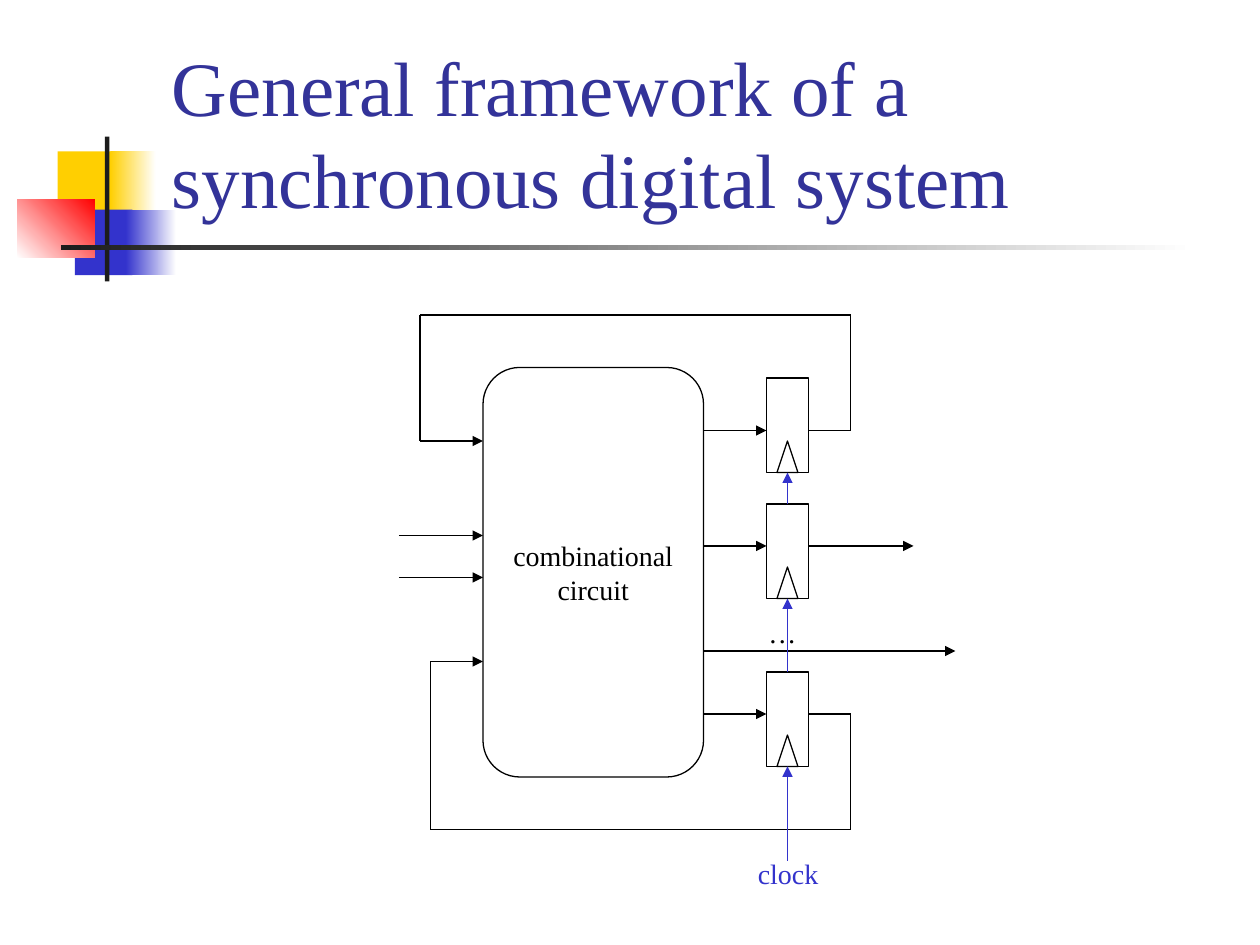
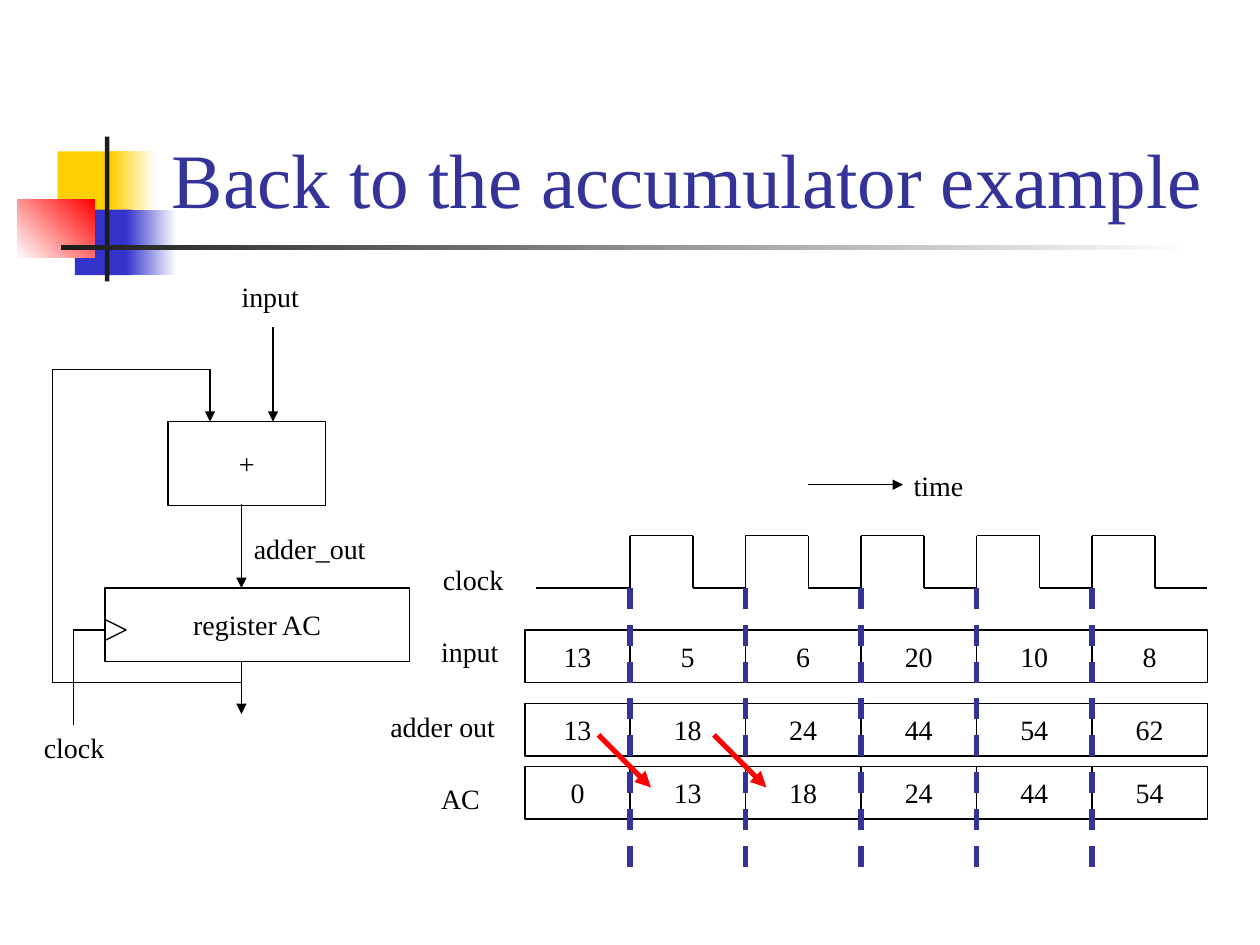
import itertools

import lxml.etree
import pptx
import pptx.dml.color
import pptx.enum.dml
import pptx.enum.shapes
import pptx.enum.text
import pptx.oxml.ns
import pptx.util

Pt = pptx.util.Pt
SHAPE = pptx.enum.shapes.MSO_SHAPE
ANCHOR = pptx.enum.text.MSO_ANCHOR
ALIGN = pptx.enum.text.PP_ALIGN
AUTO_SIZE = pptx.enum.text.MSO_AUTO_SIZE
DASH = pptx.enum.dml.MSO_LINE.DASH
qn = pptx.oxml.ns.qn

FONT = "Times New Roman"
COLORS = {
    "black": "000000",
    "white": "FFFFFF",
    "charcoal": "1C1C1C",
    "yellow": "FFCF01",
    "blue": "3333CC",
    "navy": "333399",
    "red": "FF0000",
}
LABEL_HEIGHT = 26.6

DECORATIONS = [
    (33, 86.5, 35, 37.5, "yellow", None, 0),
    (63, 86.5, 26, 37.5, "yellow", "white", 0),
    (42.75, 119.75, 33, 37.5, "blue", None, 0),
    (72, 119.75, 28.75, 37.5, "blue", "white", 0),
    (9.75, 113.75, 44.5, 33.5, "white", "red", 45),
    (60, 78, 2.5, 82.75, "charcoal", None, 0),
    (35, 140, 648, 2.75, "charcoal", "white", 0),
]


def rgb(name):
    return pptx.dml.color.RGBColor.from_string(COLORS[name])


def style_text(tf, text, size=16, color="black", align=ALIGN.LEFT):
    tf.text = text
    for p in tf.paragraphs:
        p.alignment = align
        p.font.name = FONT
        p.font.size = Pt(size)
        p.font.color.rgb = rgb(color)


def outline(s, kind, x, y, w, h, text=""):
    sp = s.shapes.add_shape(kind, Pt(x), Pt(y), Pt(w), Pt(h))
    sp.shadow.inherit = False
    sp.fill.background()
    sp.line.color.rgb = rgb("black")
    sp.line.width = Pt(0.75)
    if text:
        tf = sp.text_frame
        style_text(tf, text, align=ALIGN.CENTER)
        tf.word_wrap = False
        tf.vertical_anchor = ANCHOR.MIDDLE
    return sp


def label(s, text, x, y, w, color="black"):
    sp = s.shapes.add_textbox(Pt(x), Pt(y), Pt(w), Pt(LABEL_HEIGHT))
    tf = sp.text_frame
    style_text(tf, text, color=color)
    tf.word_wrap = False
    tf.auto_size = AUTO_SIZE.SHAPE_TO_FIT_TEXT


def wire(s, origin, points, arrow=True, color="black", width=0.75, dash=None):
    ox, oy = origin
    for (x1, y1), (x2, y2) in itertools.pairwise(points):
        c = s.shapes.add_connector(
            pptx.enum.shapes.MSO_CONNECTOR.STRAIGHT,
            Pt(ox + x1), Pt(oy + y1), Pt(ox + x2), Pt(oy + y2))
        c.line.color.rgb = rgb(color)
        c.line.width = Pt(width)
        if dash:
            c.line.dash_style = dash
        lxml.etree.SubElement(c.element.spPr, qn("a:effectLst"))
    if arrow:
        lxml.etree.SubElement(c.get_or_add_ln(), qn("a:tailEnd"), type="triangle")


def decorate_layout(layout, s):
    for i, (x, y, w, h, start, end, angle) in enumerate(DECORATIONS):
        sp = s.shapes.add_shape(SHAPE.RECTANGLE, Pt(x), Pt(y), Pt(w), Pt(h))
        sp.shadow.inherit = False
        sp.line.fill.background()
        if end:
            sp.fill.gradient()
            sp.fill.gradient_angle = angle
            for stop, color in zip(sp.fill.gradient_stops, (start, end)):
                stop.color.rgb = rgb(color)
        else:
            sp.fill.solid()
            sp.fill.fore_color.rgb = rgb(start)
        sp.element.nvSpPr.cNvPr.id = 20 + i
        layout.shapes.element.append(sp.element)


def add_slide(prs, layout, title):
    s = prs.slides.add_slide(layout)
    sp = s.shapes.title
    sp.left, sp.top, sp.width, sp.height = Pt(91), Pt(16.5), Pt(613), Pt(115)
    tf = sp.text_frame
    style_text(tf, title, size=44, color="navy")
    tf.word_wrap = True
    tf.auto_size = AUTO_SIZE.NONE
    tf.vertical_anchor = ANCHOR.BOTTOM
    return s


def flip_flop(s, x, y):
    outline(s, SHAPE.RECTANGLE, x, y, 24, 54)
    outline(s, SHAPE.ISOSCELES_TRIANGLE, x + 6, y + 36, 12, 18)


def synchronous_system(s, x, y):
    origin = x, y
    outline(s, SHAPE.ROUNDED_RECTANGLE, x + 48, y + 30, 126, 234,
            "combinational\ncircuit")
    flip_flop_tops = 36, 108, 204
    for top in flip_flop_tops:
        flip_flop(s, x + 210, y + top)
    label(s, "…", x + 204, y + 168, 30)

    for data_y in (66, 132, 228):
        wire(s, origin, [(174, data_y), (210, data_y)])
    for input_y in (126, 150):
        wire(s, origin, [(0, input_y), (48, input_y)])
    wire(s, origin, [(234, 66), (258, 66), (258, 0), (12, 0), (12, 72), (48, 72)])
    wire(s, origin, [(234, 228), (258, 228), (258, 294),
                     (18, 294), (18, 198), (48, 198)])
    wire(s, origin, [(234, 132), (294, 132)])
    wire(s, origin, [(174, 192), (318, 192)])

    for top, clock_start in zip(flip_flop_tops, (*flip_flop_tops[1:], 312)):
        wire(s, origin, [(222, clock_start), (222, top + 54)], color="blue")
    label(s, "clock", x + 198, y + 306, 49, "blue")


def accumulator(s, x, y):
    origin = x, y
    outline(s, SHAPE.RECTANGLE, x + 42, y + 180, 174, 42, "register AC")
    outline(s, SHAPE.RECTANGLE, x + 78, y + 85, 90, 48, "+")
    outline(s, SHAPE.ISOSCELES_TRIANGLE, x + 42, y + 198, 12, 12).rotation = 90

    wire(s, origin, [(138, 31), (138, 85)])
    wire(s, origin, [(120, 132), (120, 180)])
    wire(s, origin, [(120, 222), (120, 252)])
    wire(s, origin, [(120, 234), (12, 234), (12, 55), (102, 55), (102, 85)])
    wire(s, origin, [(42, 204), (24, 204), (24, 258)], arrow=False)

    label(s, "input", x + 113, y, 47.5)
    label(s, "adder_out", x + 120, y + 144, 78.5)
    label(s, "clock", x, y + 258, 49)


def timing_diagram(s, x, y):
    origin = x, y
    period = 66
    edges = [144 + period * i for i in range(5)]
    low, high = 72, 42

    wave = [(90, low)]
    for edge in edges:
        wave += [(edge, low), (edge, high), (edge + 36, high), (edge + 36, low)]
    wire(s, origin, wave + [(474, low)], arrow=False)
    label(s, "clock", x + 30, y + 54, 49)

    rows = [
        ("input", 29, 95, 47.5, 96, (13, 5, 6, 20, 10, 8)),
        ("adder out", 0, 138, 75, 138, (13, 18, 24, 44, 54, 62)),
        ("AC", 29, 179, 36.5, 174, (0, 13, 18, 24, 44, 54)),
    ]
    for name, label_x, label_y, label_w, row_y, values in rows:
        label(s, name, x + label_x, y + label_y, label_w)
        for left, value in zip([84, *edges], values):
            width = 60 if left == 84 else period
            outline(s, SHAPE.RECTANGLE, x + left, y + row_y, width, 30, str(value))

    for edge in edges:
        wire(s, origin, [(edge, low), (edge, 234)], arrow=False,
             color="navy", width=3, dash=DASH)
    wire(s, origin, [(246, 13), (300, 13)])
    label(s, "time", x + 299, y, 43)
    for edge in edges[:2]:
        wire(s, origin, [(edge - 18, 156), (edge + 12, 186)], color="red", width=3)


def main():
    prs = pptx.Presentation()
    prs.slide_width, prs.slide_height = Pt(720), Pt(540)
    layout = prs.slide_layouts[5]

    s = add_slide(prs, layout, "General framework of a synchronous digital system")
    decorate_layout(layout, s)
    synchronous_system(s, 228, 180)

    s = add_slide(prs, layout, "Back to the accumulator example")
    timing_diagram(s, 216, 264)
    accumulator(s, 18, 156)

    prs.save("out.pptx")


if __name__ == "__main__":
    main()
